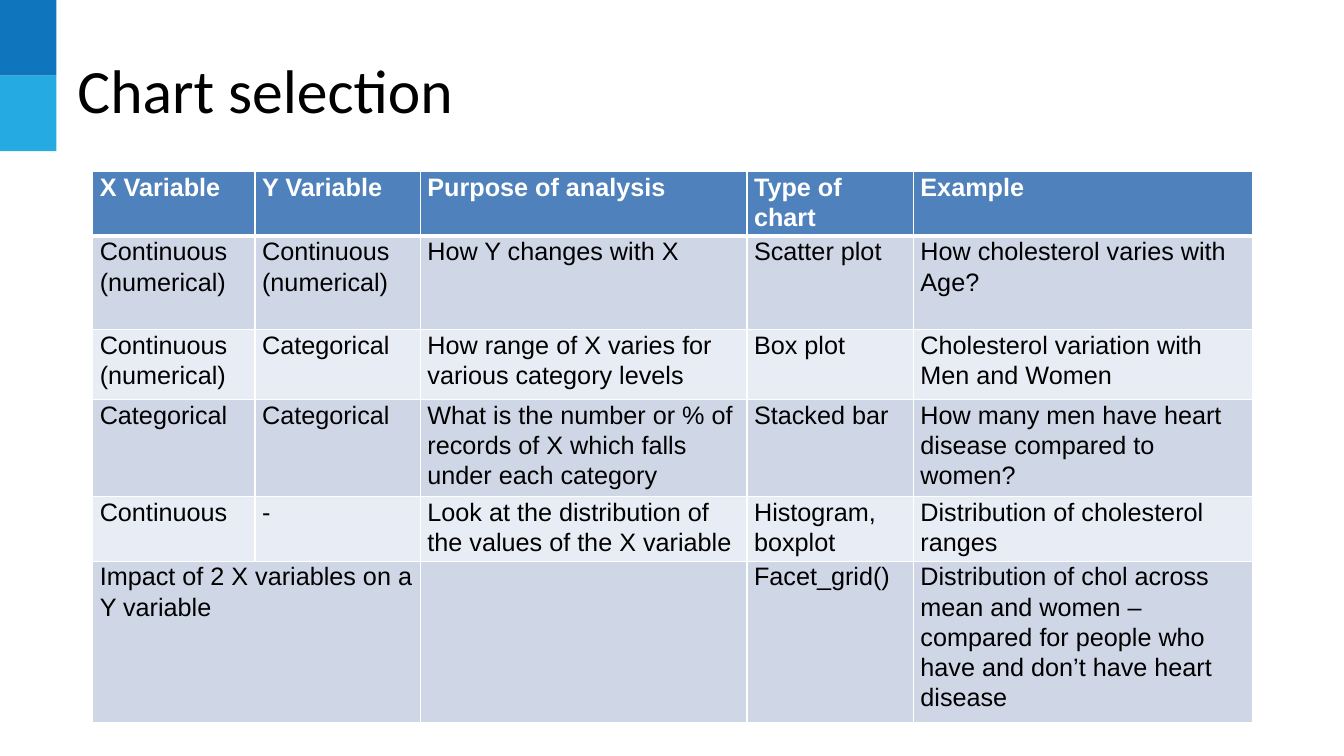
from lxml import etree
from pptx import Presentation, util as u
from pptx.dml.color import RGBColor
from pptx.enum import shapes, text
from pptx.oxml import ns

# Content
TITLE = "Chart selection"
ROWS = [
    ("X Variable", "Y Variable", "Purpose of analysis", "Type of chart", "Example"),
    ("Continuous (numerical)", "Continuous (numerical)", "How Y changes with X",
     "Scatter plot", "How cholesterol varies with Age?"),
    ("Continuous (numerical)", "Categorical",
     "How range of X varies for various category levels",
     "Box plot", "Cholesterol variation with Men and Women"),
    ("Categorical", "Categorical",
     "What is the number or % of records of X which falls under each category",
     "Stacked bar", "How many men have heart disease compared to women?"),
    ("Continuous", "-", "Look at the distribution of the values of the X variable",
     "Histogram, boxplot", "Distribution of cholesterol ranges"),
    ("Impact of 2 X variables on a Y variable", "", "", "Facet_grid()",
     "Distribution of chol across mean and women – compared for people "
     "who have and don’t have heart disease"),
]
COLUMN_WIDTHS = (1.61, 1.64, 3.24, 1.65, 3.36)
ROW_HEIGHTS = (0.54, 0.93, 0.69, 0.93, 0.46, 1.39)
HEADER_FILL = "4F81BD"
BAND_FILLS = ("CFD7E7", "E8ECF4")
CORNER_FILLS = ("0F75BD", "25AAE2")
CORNER_WIDTH, CORNER_HEIGHT = 0.56, 0.75
WHITE, BLACK = "FFFFFF", "000000"


def color(value):
    return RGBColor.from_string(value)


def add_span(para, words, size, font, ink, bold=False):
    span = para.add_run()
    span.text = words
    span.font.size = u.Pt(size)
    span.font.name = font
    span.font.bold = bold
    span.font.color.rgb = color(ink)


def add_borders(cell, widths):
    """Set white left, right, top and bottom lines, placed before the cell fill."""
    properties = cell._tc.get_or_add_tcPr()
    for place, (side, width) in enumerate(zip("LRTB", widths)):
        line = etree.Element(ns.qn(f"a:ln{side}"), w=str(u.Pt(width)))
        fill = etree.SubElement(line, ns.qn("a:solidFill"))
        etree.SubElement(fill, ns.qn("a:srgbClr"), val=WHITE)
        properties.insert(place, line)


deck = Presentation()
deck.slide_width, deck.slide_height = u.Inches(13.33), u.Inches(7.5)
page = deck.slides.add_slide(deck.slide_layouts[6])

# Corner blocks
for index, fill in enumerate(CORNER_FILLS):
    block = page.shapes.add_shape(
        shapes.MSO_SHAPE.RECTANGLE, 0, u.Inches(index * CORNER_HEIGHT),
        u.Inches(CORNER_WIDTH), u.Inches(CORNER_HEIGHT))
    block.shadow.inherit = False
    block.fill.solid()
    block.fill.fore_color.rgb = color(fill)
    block.line.fill.background()

# Title
box = page.shapes.add_textbox(u.Inches(0.67), u.Inches(0.3), u.Inches(12), u.Inches(1.25))
box.text_frame.word_wrap = True
box.text_frame.vertical_anchor = text.MSO_ANCHOR.MIDDLE
title_para = box.text_frame.paragraphs[0]
title_para.line_spacing = 0.9
add_span(title_para, TITLE, 44, "Calibri", BLACK)

# Table
table = page.shapes.add_table(
    len(ROWS), len(COLUMN_WIDTHS), u.Inches(0.92), u.Inches(1.7),
    u.Inches(sum(COLUMN_WIDTHS)), u.Inches(sum(ROW_HEIGHTS))).table
for column, width in zip(table.columns, COLUMN_WIDTHS):
    column.width = u.Inches(width)
for row, height in zip(table.rows, ROW_HEIGHTS):
    row.height = u.Inches(height)

for r, entries in enumerate(ROWS):
    header = r == 0
    for c, words in enumerate(entries):
        cell = table.cell(r, c)
        cell.margin_left = cell.margin_right = u.Inches(0.07)
        cell.margin_top = cell.margin_bottom = 0
        cell.fill.solid()
        cell.fill.fore_color.rgb = color(HEADER_FILL if header else BAND_FILLS[(r - 1) % 2])
        add_borders(cell, (1, 1, 3 if r == 1 else 1, 3 if header else 1))
        if words:
            para = cell.text_frame.paragraphs[0]
            para.line_spacing = 1.07
            add_span(para, words, 18, "Arial", WHITE if header else BLACK, header)

last = len(ROWS) - 1
table.cell(last, 0).merge(table.cell(last, 1))

deck.save("out.pptx")
